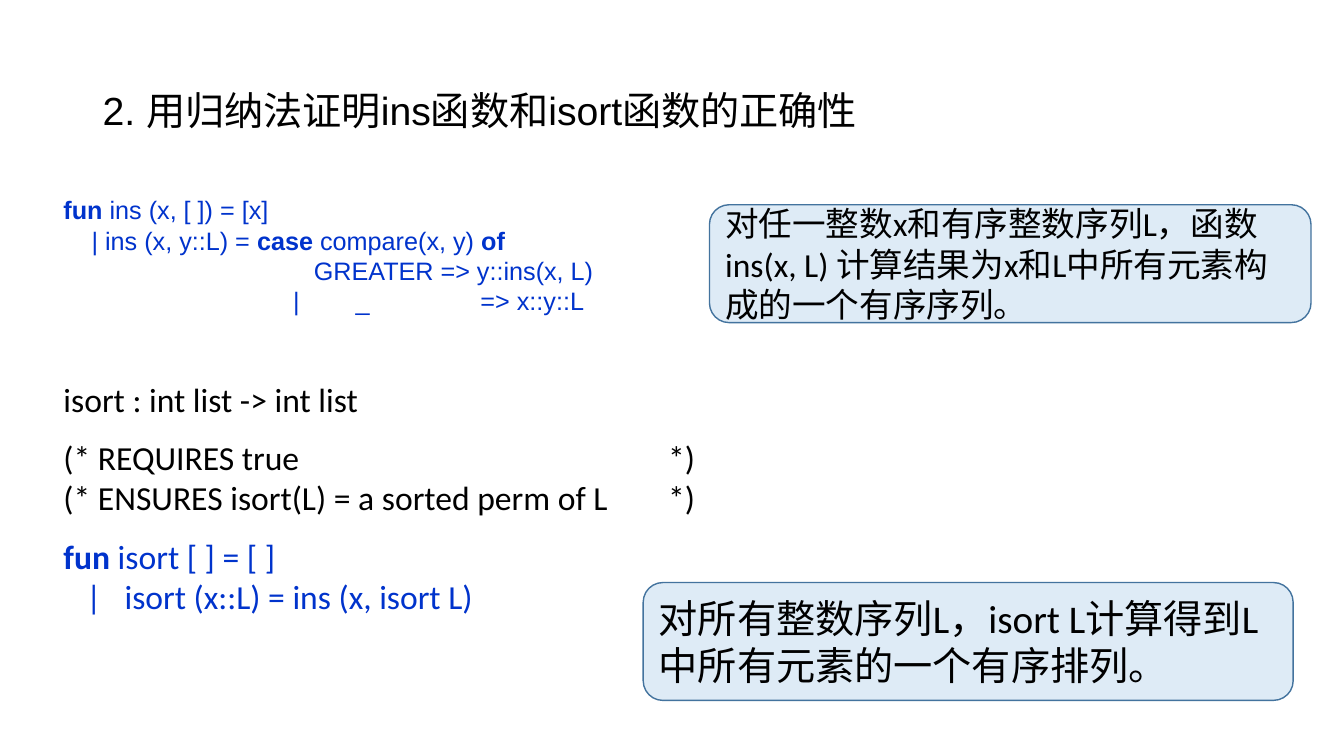
from lxml.etree import SubElement
from pptx import Presentation
from pptx.dml.color import RGBColor
from pptx.enum.shapes import MSO_SHAPE
from pptx.enum.text import MSO_ANCHOR as Anchor, MSO_AUTO_SIZE as AutoSize, PP_ALIGN as Align
from pptx.oxml.ns import qn
from pptx.util import Cm, Pt

BLACK = RGBColor(0x00, 0x00, 0x00)
CODE_BLUE = RGBColor(0x00, 0x33, 0xCC)
PALE_BLUE = RGBColor(0xDE, 0xEB, 0xF6)
EDGE_BLUE = RGBColor(0x43, 0x73, 0x9E)

INS_CODE = [
    [("fun ", True), ("ins (x, [ ]) = [x]", False)],
    [("\t| ins (x, y::L) = ", False), ("case ", True), ("compare(x, y) ", False), ("of", True)],
    [("\tGREATER => y::ins(x, L)", False)],
    [("\t|\t_\t=> x::y::L", False)],
]
INS_TABS = [[], [0.71], [6.31], [5.79, 7.36, 10.51]]

ISORT_CONTRACT = [
    "isort : int list -> int list",
    "(* REQUIRES true\t*)",
    "(* ENSURES isort(L) = a sorted perm of L\t*)",
]
ISORT_CODE = [
    [("fun ", True), ("isort [ ] = [ ]", False)],
    [("\t|\tisort (x::L) = ins (x, isort L)", False)],
]


class ProofSlide:
    """Holds the fonts of the proof slide and the page being filled."""

    code_font = "Arial"
    text_font = "Calibri"

    def __init__(self, deck):
        self.page = deck.slides.add_slide(deck.slide_layouts[5])

    def run(self, para, text, size, font, color=BLACK, bold=False):
        span = para.add_run()
        span.text = text
        span.font.size = Pt(size)
        span.font.name = font
        span.font.bold = bold
        span.font.color.rgb = color

    def title(self, text, left, top, width, height):
        box = self.page.shapes.title
        box.left, box.top, box.width, box.height = map(Cm, (left, top, width, height))
        frame = box.text_frame
        frame.auto_size = AutoSize.NONE
        frame.vertical_anchor = Anchor.MIDDLE
        para = frame.paragraphs[0]
        para.alignment = Align.LEFT
        para.line_spacing = 0.9
        self.run(para, text, 28, self.code_font)

    def text_box(self, left, top, width, height):
        box = self.page.shapes.add_textbox(*map(Cm, (left, top, width, height)))
        box.text_frame.word_wrap = True
        box.text_frame.auto_size = AutoSize.SHAPE_TO_FIT_TEXT
        return box.text_frame

    def line(self, frame, spans, size, font, color, tabs=(), gap=0):
        """Adds one line of (text, bold) spans with tab stops in centimetres."""
        first = frame.paragraphs[0]
        para = first if not first.runs else frame.add_paragraph()
        para.space_before = Pt(gap)
        if tabs:
            stops = SubElement(para._p.get_or_add_pPr(), qn("a:tabLst"))
            for stop in tabs:
                SubElement(stops, qn("a:tab"), pos=str(int(Cm(stop))), algn="l")
        for text, bold in spans:
            self.run(para, text, size, font, color, bold)

    def callout(self, text, size, left, top, width, height):
        box = self.page.shapes.add_shape(
            MSO_SHAPE.ROUNDED_RECTANGLE, *map(Cm, (left, top, width, height)))
        box.shadow.inherit = False
        box.fill.solid()
        box.fill.fore_color.rgb = PALE_BLUE
        box.line.color.rgb = EDGE_BLUE
        box.line.width = Pt(1)
        frame = box.text_frame
        frame.word_wrap = True
        frame.vertical_anchor = Anchor.MIDDLE
        para = frame.paragraphs[0]
        para.alignment = Align.LEFT
        self.run(para, text, size, self.text_font)


def main():
    deck = Presentation()
    deck.slide_width, deck.slide_height = Cm(33.87), Cm(19.05)
    slide = ProofSlide(deck)

    slide.title("2. 用归纳法证明ins函数和isort函数的正确性", 2.33, 1.01, 29.21, 3.68)

    isort = slide.text_box(1.35, 9.42, 24.87, 6.27)
    for text, gap in zip(ISORT_CONTRACT, (0, 12.8, 0)):
        slide.line(isort, [(text, False)], 24, slide.text_font, BLACK, [15.24], gap)
    for spans, gap in zip(ISORT_CODE, (12.8, 0)):
        slide.line(isort, spans, 24, slide.text_font, CODE_BLUE, [0.57, 1.54], gap)
    slide.callout("对所有整数序列L，isort L计算得到L中所有元素的一个有序排列。",
                  28, 16.21, 14.68, 16.38, 2.97)

    ins = slide.text_box(1.35, 4.78, 14.53, 3.33)
    for spans, tabs in zip(INS_CODE, INS_TABS):
        slide.line(ins, spans, 18, slide.code_font, CODE_BLUE, tabs)
    slide.callout("对任一整数x和有序整数序列L，函数ins(x, L) 计算结果为x和L中所有元素构成的一个有序序列。",
                  24, 17.88, 5.16, 15.16, 2.97)

    deck.save("out.pptx")


if __name__ == "__main__":
    main()
